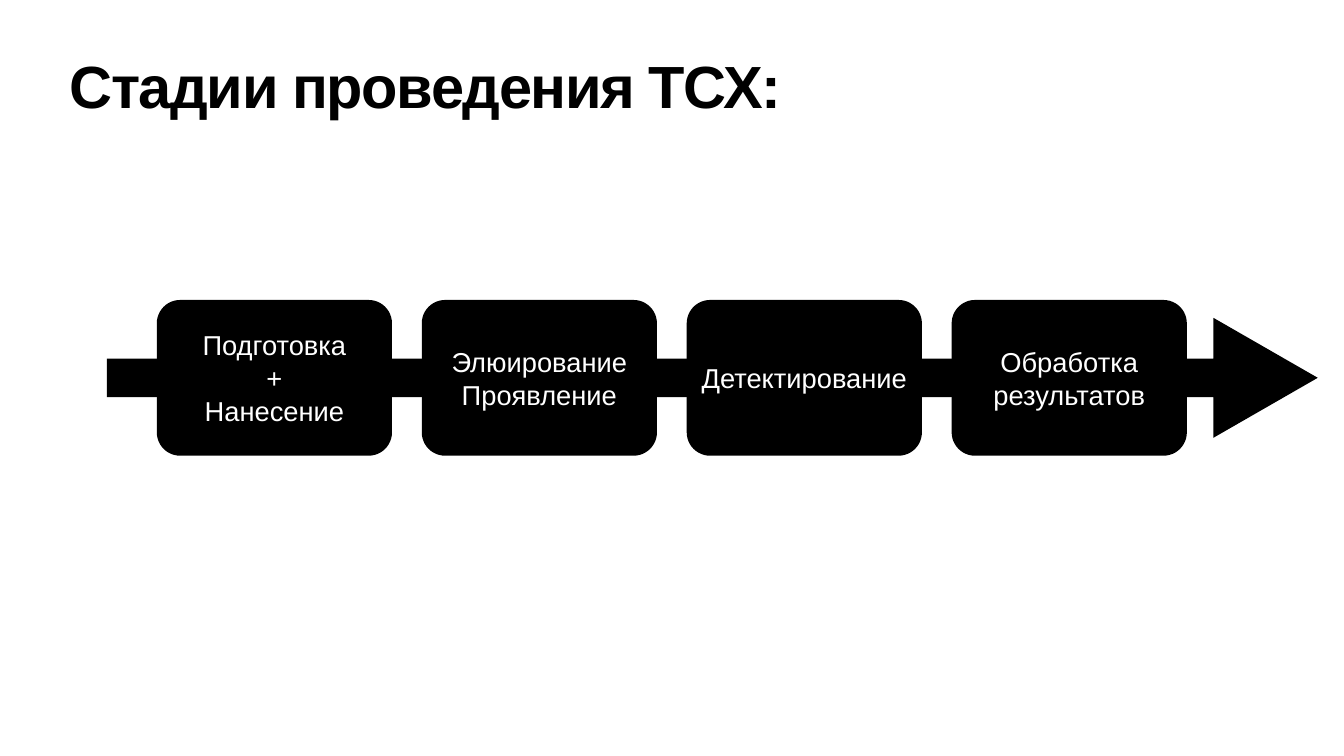
"""Builds a slide with the stages of thin-layer chromatography on an arrow."""
from dataclasses import dataclass

from pptx import Presentation
from pptx import util as u
from pptx.dml.color import RGBColor
from pptx.enum import shapes, text
from pptx.shapes.autoshape import Shape
from pptx.slide import Slide
from pptx.text.text import TextFrame

COLORS = {"ink": "000000", "label": "FFFFFF"}
FONT = "Arial"
INSET = 4.5
STAGE_LEFT, STAGE_PITCH = 224, 378.5


@dataclass(frozen=True)
class Box:
    left: float
    top: float
    width: float
    height: float

    def lengths(self) -> tuple[u.Length, ...]:
        return tuple(u.Pt(n) for n in (self.left, self.top, self.width, self.height))


@dataclass(frozen=True)
class Stage:
    lines: tuple[str, ...]


STAGES = (
    Stage(("Подготовка", "+", "Нанесение")),
    Stage(("Элюирование", "Проявление")),
    Stage(("Детектирование",)),
    Stage(("Обработка", "результатов")),
)


def add_solid(slide: Slide, kind: shapes.MSO_SHAPE, box: Box, adjustments: tuple[float, ...]) -> Shape:
    shape = slide.shapes.add_shape(kind, *box.lengths())
    for index, value in enumerate(adjustments):
        shape.adjustments[index] = value
    shape.shadow.inherit = False
    shape.fill.solid()
    shape.fill.fore_color.rgb = RGBColor.from_string(COLORS["ink"])
    shape.line.fill.background()
    return shape


def write_lines(frame: TextFrame, lines: tuple[str, ...], size: float, color: str,
                alignment: text.PP_ALIGN, anchor: text.MSO_ANCHOR) -> None:
    frame.text = "\n".join(lines)
    frame.auto_size = text.MSO_AUTO_SIZE.NONE
    frame.vertical_anchor = anchor
    frame.margin_left = frame.margin_right = u.Pt(INSET)
    frame.margin_top = frame.margin_bottom = u.Pt(INSET)
    for paragraph in frame.paragraphs:
        paragraph.alignment = alignment
        paragraph.font.name = FONT
        paragraph.font.size = u.Pt(size)
        paragraph.font.color.rgb = RGBColor.from_string(COLORS[color])


def add_title(slide: Slide, wording: str) -> None:
    title = slide.shapes.title
    title.left, title.top, title.width, title.height = Box(95, 85, 1730, 113).lengths()
    write_lines(title.text_frame, (wording,), 85, "ink", text.PP_ALIGN.LEFT, text.MSO_ANCHOR.TOP)
    paragraph = title.text_frame.paragraphs[0]
    paragraph.font.bold = True
    paragraph.line_spacing = 0.8
    paragraph.runs[0]._r.get_or_add_rPr().set("spc", "-200")


def add_stage(slide: Slide, stage: Stage, index: int) -> None:
    box = Box(STAGE_LEFT + index * STAGE_PITCH, 428.5, 336, 222.5)
    shape = add_solid(slide, shapes.MSO_SHAPE.ROUNDED_RECTANGLE, box, (0.15,))
    write_lines(shape.text_frame, stage.lines, 39, "label", text.PP_ALIGN.CENTER, text.MSO_ANCHOR.MIDDLE)


def main() -> None:
    presentation = Presentation()
    presentation.slide_width, presentation.slide_height = u.Pt(1920), u.Pt(1080)
    slide = presentation.slides.add_slide(presentation.slide_layouts.get_by_name("Title Only"))
    add_solid(slide, shapes.MSO_SHAPE.RIGHT_ARROW, Box(152.5, 454, 1730, 171.5), (0.32, 0.87))
    add_title(slide, "Стадии проведения ТСХ:")
    for index, stage in enumerate(STAGES):
        add_stage(slide, stage, index)
    presentation.save("out.pptx")


if __name__ == "__main__":
    main()
